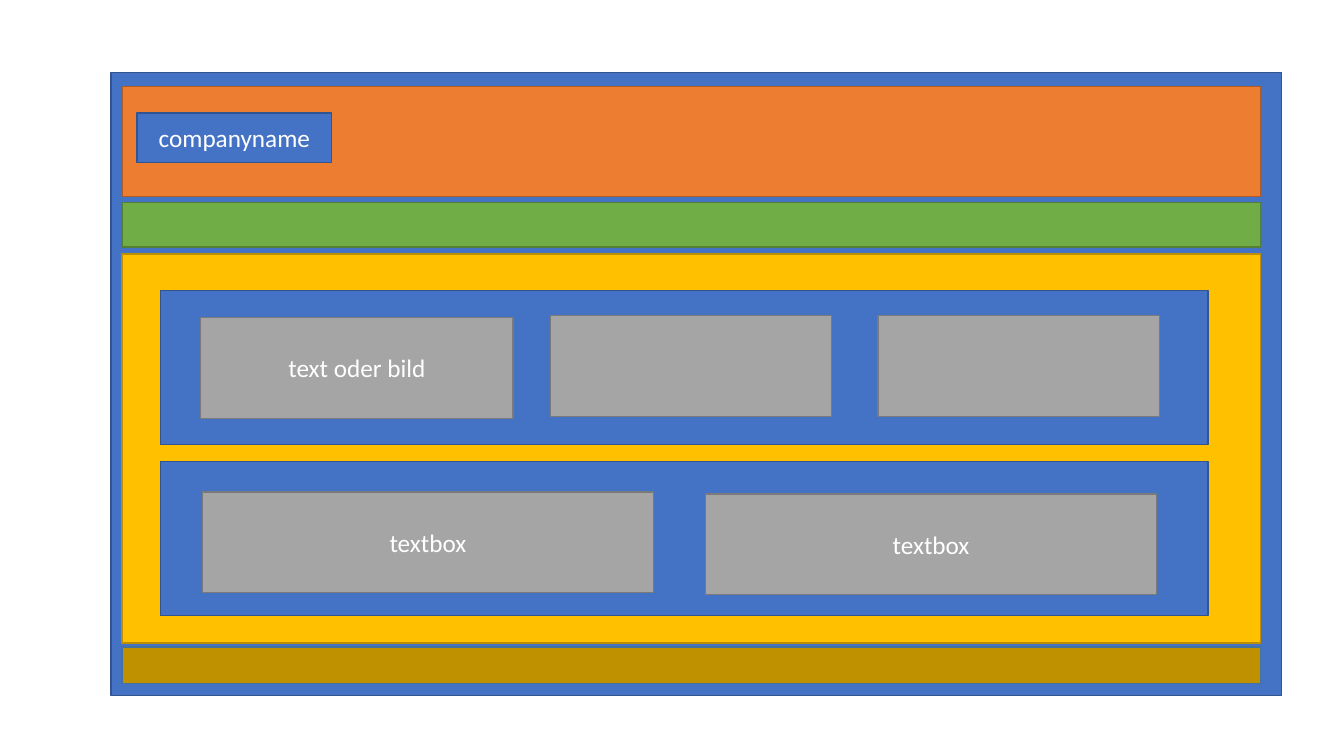
from pptx import Presentation
from pptx.dml.color import RGBColor
from pptx.enum.shapes import MSO_SHAPE
from pptx.enum.text import MSO_ANCHOR, PP_ALIGN
from pptx.util import Inches, Pt

RECTANGLE = MSO_SHAPE.RECTANGLE
MIDDLE = MSO_ANCHOR.MIDDLE
CENTER = PP_ALIGN.CENTER

SLIDE_WIDTH, SLIDE_HEIGHT = 13.33, 7.5
BLANK_LAYOUT = 6
FONT, FONT_SIZE = "Calibri", 18

FILLS = {
    "panel": "4472C4",
    "header": "ED7D31",
    "navigation": "70AD47",
    "content": "FFC000",
    "footer": "BF9000",
    "card": "A5A5A5",
}
BORDERS = {
    "panel": "325491",
    "header": "AF5C24",
    "navigation": "538035",
    "content": "BD8E00",
    "footer": "43739E",
    "card": "7A7A7A",
}
TEXT_COLOR = "FFFFFF"

# Page bands share one column; each has a top and a height.
BAND_LEFT, BAND_WIDTH = 1.21, 11.29
BANDS = {
    "header": (0.86, 1.09),
    "navigation": (2.01, 0.44),
    "content": (2.52, 3.86),
    "footer": (6.42, 0.36),
}

# Content rows repeat at a fixed pitch.
ROW_LEFT, ROW_TOP, ROW_WIDTH, ROW_HEIGHT = 1.59, 2.88, 10.39, 1.53
ROW_PITCH = 1.7
CARD_HEIGHT = 1

# Cards of each row: left and top offset inside the row, width, label.
CARD_ROWS = [
    [(0.4, 0.27, 3.1, "text oder bild"), (3.87, 0.25, 2.79, ""), (7.12, 0.25, 2.79, "")],
    [(0.42, 0.3, 4.47, "textbox"), (5.41, 0.32, 4.47, "textbox")],
]


def add_label(block, label):
    frame = block.text_frame
    frame.word_wrap = True
    frame.vertical_anchor = MIDDLE
    paragraph = frame.paragraphs[0]
    paragraph.alignment = CENTER
    run = paragraph.add_run()
    run.text = label
    run.font.name = FONT
    run.font.size = Pt(FONT_SIZE)
    run.font.color.rgb = RGBColor.from_string(TEXT_COLOR)


def add_block(slide, role, left, top, width, height, label=""):
    """Draw a bordered rectangle in the colours of its role on the page."""
    block = slide.shapes.add_shape(
        RECTANGLE, Inches(left), Inches(top), Inches(width), Inches(height)
    )
    block.shadow.inherit = False
    block.fill.solid()
    block.fill.fore_color.rgb = RGBColor.from_string(FILLS[role])
    block.line.color.rgb = RGBColor.from_string(BORDERS[role])
    block.line.width = Pt(1)
    if label:
        add_label(block, label)


def add_card_row(slide, row_top, cards):
    add_block(slide, "panel", ROW_LEFT, row_top, ROW_WIDTH, ROW_HEIGHT)
    for left, top, width, label in cards:
        add_block(slide, "card", ROW_LEFT + left, row_top + top, width, CARD_HEIGHT, label)


def main():
    deck = Presentation()
    deck.slide_width = Inches(SLIDE_WIDTH)
    deck.slide_height = Inches(SLIDE_HEIGHT)
    slide = deck.slides.add_slide(deck.slide_layouts[BLANK_LAYOUT])

    add_block(slide, "panel", 1.1, 0.72, 11.61, 6.18)
    for role, (top, height) in BANDS.items():
        add_block(slide, role, BAND_LEFT, top, BAND_WIDTH, height)
    for index, cards in enumerate(CARD_ROWS):
        add_card_row(slide, ROW_TOP + index * ROW_PITCH, cards)
    add_block(slide, "panel", 1.36, 1.12, 1.93, 0.49, "companyname")

    deck.save("out.pptx")


if __name__ == "__main__":
    main()
